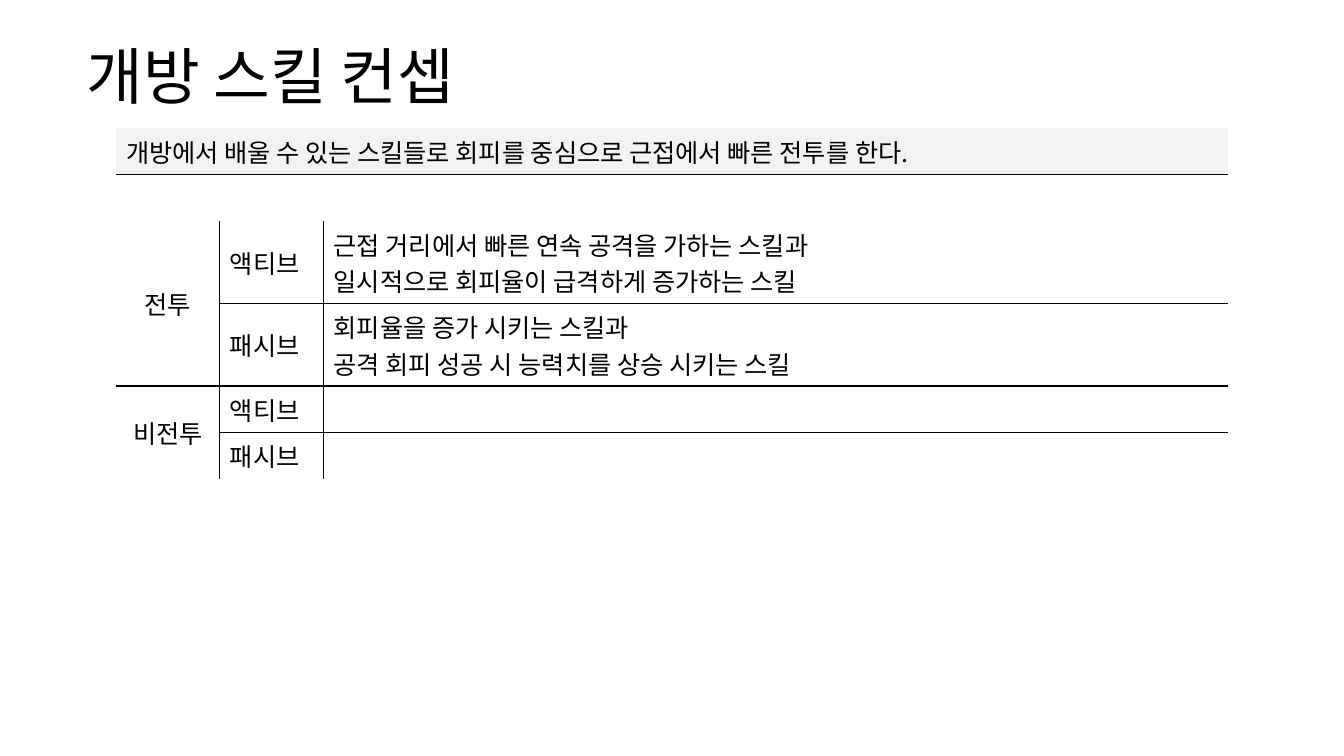
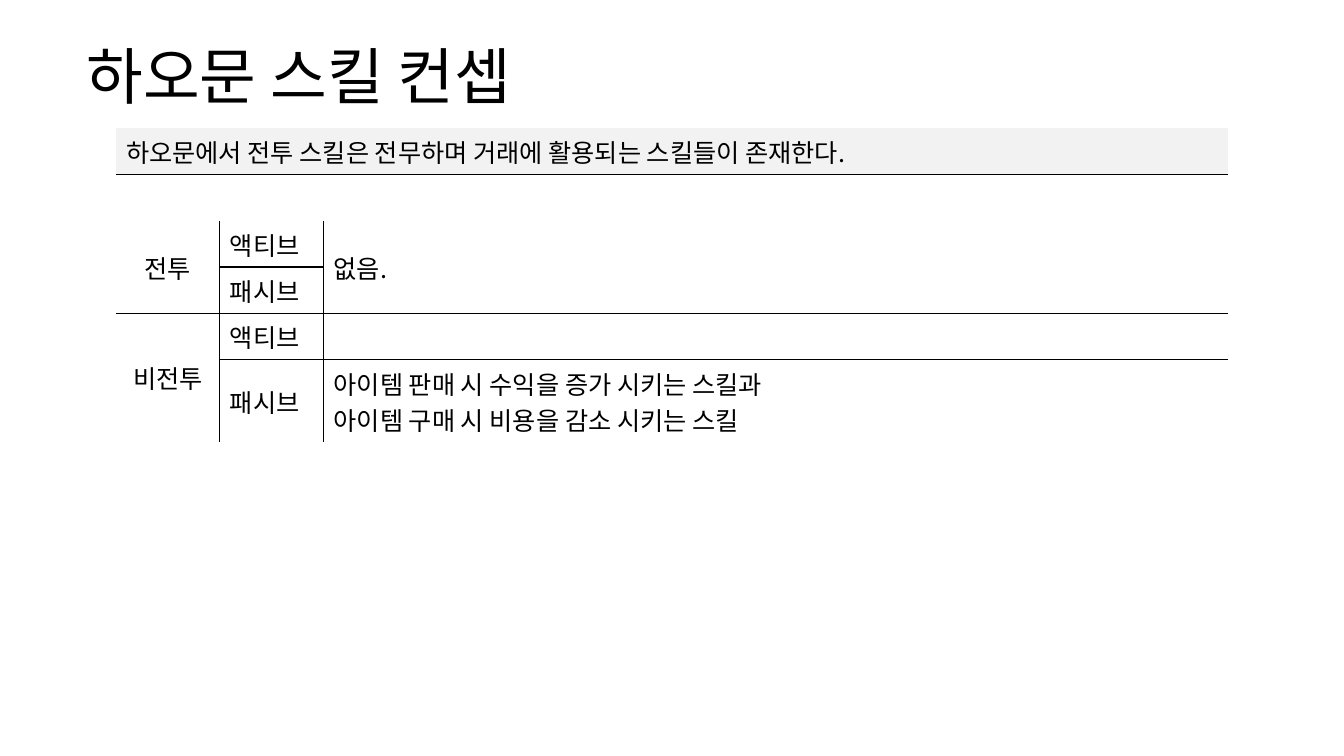
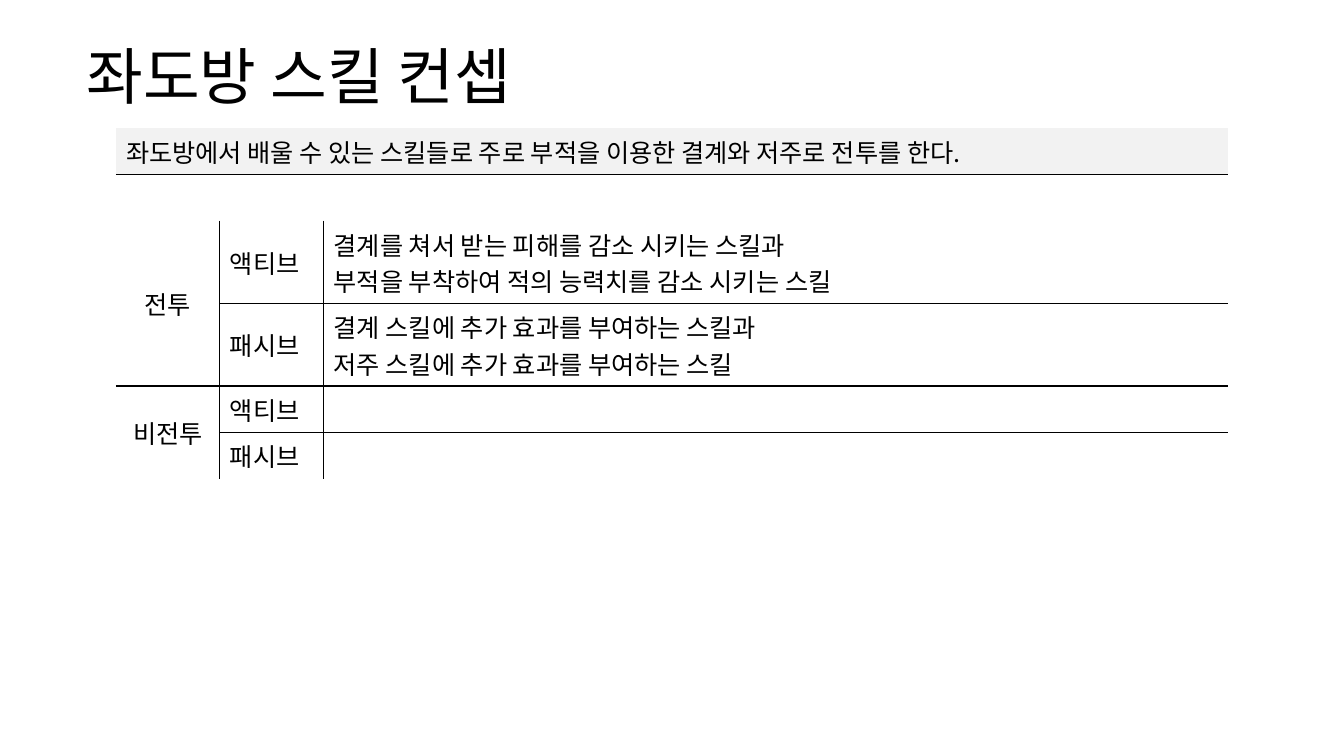
from dataclasses import dataclass
from itertools import product

from lxml.etree import SubElement
from pptx import Presentation
from pptx.dml.color import RGBColor
from pptx.enum.text import MSO_ANCHOR, PP_ALIGN
from pptx.oxml.ns import qn
from pptx.util import Pt

MIDDLE = MSO_ANCHOR.MIDDLE
LEFT = PP_ALIGN.LEFT
CENTER = PP_ALIGN.CENTER
EMU_PER_PX = 9144


@dataclass(frozen=True)
class Theme:
    font: str = "Noto Sans CJK KR"
    ink: str = "000000"
    band: str = "F2F2F2"
    title_size: int = 44
    body_size: int = 18
    rule_width: int = 1


THEME = Theme()
PAGE_SIZE = (1333, 750)
TITLE_BOX = (76, 32, 1181, 94)
TABLE_BOX = (115, 127, 1103)
LABEL_WIDTH = 103
ROW_HEIGHT = 46
EXTRA_LINE = 36
ROW_COUNT, COLUMN_COUNT = 6, 3
SUMMARY_ROW, SPACER_ROW, FIRST_SKILL_ROW = 0, 1, 2
GROUPS = ("전투", "비전투")
KINDS = ("액티브", "패시브")

SLIDES = (
    (
        "개방 스킬 컨셉",
        "개방에서 배울 수 있는 스킬들로 회피를 중심으로 근접에서 빠른 전투를 한다.",
        (
            (1, ("근접 거리에서 빠른 연속 공격을 가하는 스킬과",
                 "일시적으로 회피율이 급격하게 증가하는 스킬")),
            (1, ("회피율을 증가 시키는 스킬과",
                 "공격 회피 성공 시 능력치를 상승 시키는 스킬")),
            (1, ()),
            (1, ()),
        ),
    ),
    (
        "하오문 스킬 컨셉",
        "하오문에서 전투 스킬은 전무하며 거래에 활용되는 스킬들이 존재한다.",
        (
            (2, ("없음.",)),
            (1, ()),
            (1, ("아이템 판매 시 수익을 증가 시키는 스킬과",
                 "아이템 구매 시 비용을 감소 시키는 스킬")),
        ),
    ),
    (
        "좌도방 스킬 컨셉",
        "좌도방에서 배울 수 있는 스킬들로 주로 부적을 이용한 결계와 저주로 전투를 한다.",
        (
            (1, ("결계를 쳐서 받는 피해를 감소 시키는 스킬과",
                 "부적을 부착하여 적의 능력치를 감소 시키는 스킬")),
            (1, ("결계 스킬에 추가 효과를 부여하는 스킬과",
                 "저주 스킬에 추가 효과를 부여하는 스킬")),
            (1, ()),
            (1, ()),
        ),
    ),
)


def px(*lengths):
    return [length * EMU_PER_PX for length in lengths]


def write_lines(frame, lines, size, align=LEFT, spacing=None):
    for index, line in enumerate(lines or ("",)):
        paragraph = frame.add_paragraph() if index else frame.paragraphs[0]
        if line:
            paragraph.text = line
        paragraph.alignment = align
        paragraph.line_spacing = spacing
        font = paragraph.font
        font.size = Pt(size)
        font.color.rgb = RGBColor.from_string(THEME.ink)
        font.name = THEME.font
        defaults = paragraph._p.pPr.find(qn("a:defRPr"))
        SubElement(defaults, qn("a:ea"), typeface=THEME.font)


def add_title(page, box, title):
    frame = page.shapes.add_textbox(*px(*box)).text_frame
    frame.word_wrap = True
    frame.vertical_anchor = MIDDLE
    write_lines(frame, (title,), THEME.title_size, spacing=0.9)


def draw_borders(cell, ruled_sides):
    properties = cell._tc.get_or_add_tcPr()
    for side in "LRTB":
        line = SubElement(properties, qn(f"a:ln{side}"), w=str(Pt(THEME.rule_width)))
        if side in ruled_sides:
            fill = SubElement(line, qn("a:solidFill"))
            SubElement(fill, qn("a:srgbClr"), val=THEME.ink)
        else:
            SubElement(line, qn("a:noFill"))


def fill_block(table, row, column, row_span, column_span, lines, align=LEFT):
    last_row, last_column = row + row_span - 1, column + column_span - 1
    origin = table.cell(row, column)
    if row_span * column_span > 1:
        origin.merge(table.cell(last_row, last_column))
    origin.vertical_anchor = MIDDLE
    write_lines(origin.text_frame, lines, THEME.body_size, align)

    edges = {
        "L": (column > 0, lambda r, c: c == column),
        "R": (last_column < COLUMN_COUNT - 1, lambda r, c: c == last_column),
        "T": (row not in (SUMMARY_ROW, FIRST_SKILL_ROW), lambda r, c: r == row),
        "B": (last_row not in (SPACER_ROW, ROW_COUNT - 1), lambda r, c: r == last_row),
    }
    for r, c in product(range(row, last_row + 1), range(column, last_column + 1)):
        cell = table.cell(r, c)
        is_origin = (r, c) == (row, column)
        draw_borders(cell, [side for side, (ruled, touches) in edges.items()
                            if ruled and (is_origin or touches(r, c))])
        if row == SUMMARY_ROW:
            cell.fill.solid()
            cell.fill.fore_color.rgb = RGBColor.from_string(THEME.band)
        else:
            cell.fill.background()


def add_skill_table(page, box, summary, descriptions):
    left, top, width = box
    heights = [ROW_HEIGHT] * ROW_COUNT
    blocks = []
    row = FIRST_SKILL_ROW
    for span, lines in descriptions:
        blocks.append((row, 2, span, 1, lines))
        if span == 1:
            heights[row] += EXTRA_LINE * max(len(lines) - 1, 0)
        row += span

    table = page.shapes.add_table(
        ROW_COUNT, COLUMN_COUNT, *px(left, top, width, sum(heights))).table
    table.first_row = False
    table.horz_banding = False
    widths = (LABEL_WIDTH, LABEL_WIDTH, width - 2 * LABEL_WIDTH)
    for table_column, length in zip(table.columns, px(*widths)):
        table_column.width = length
    for table_row, length in zip(table.rows, px(*heights)):
        table_row.height = length

    fill_block(table, SUMMARY_ROW, 0, 1, COLUMN_COUNT, (summary,))
    fill_block(table, SPACER_ROW, 0, 1, COLUMN_COUNT, ())
    for index, group in enumerate(GROUPS):
        group_row = FIRST_SKILL_ROW + index * len(KINDS)
        fill_block(table, group_row, 0, len(KINDS), 1, (group,), CENTER)
        for offset, kind in enumerate(KINDS):
            fill_block(table, group_row + offset, 1, 1, 1, (kind,))
    for block in blocks:
        fill_block(table, *block)


def add_concept_page(deck, title, summary, descriptions):
    page = deck.slides.add_slide(deck.slide_layouts[6])
    add_title(page, TITLE_BOX, title)
    add_skill_table(page, TABLE_BOX, summary, descriptions)


def main():
    deck = Presentation()
    deck.slide_width, deck.slide_height = px(*PAGE_SIZE)
    for content in SLIDES:
        add_concept_page(deck, *content)
    deck.save("out.pptx")


if __name__ == "__main__":
    main()
